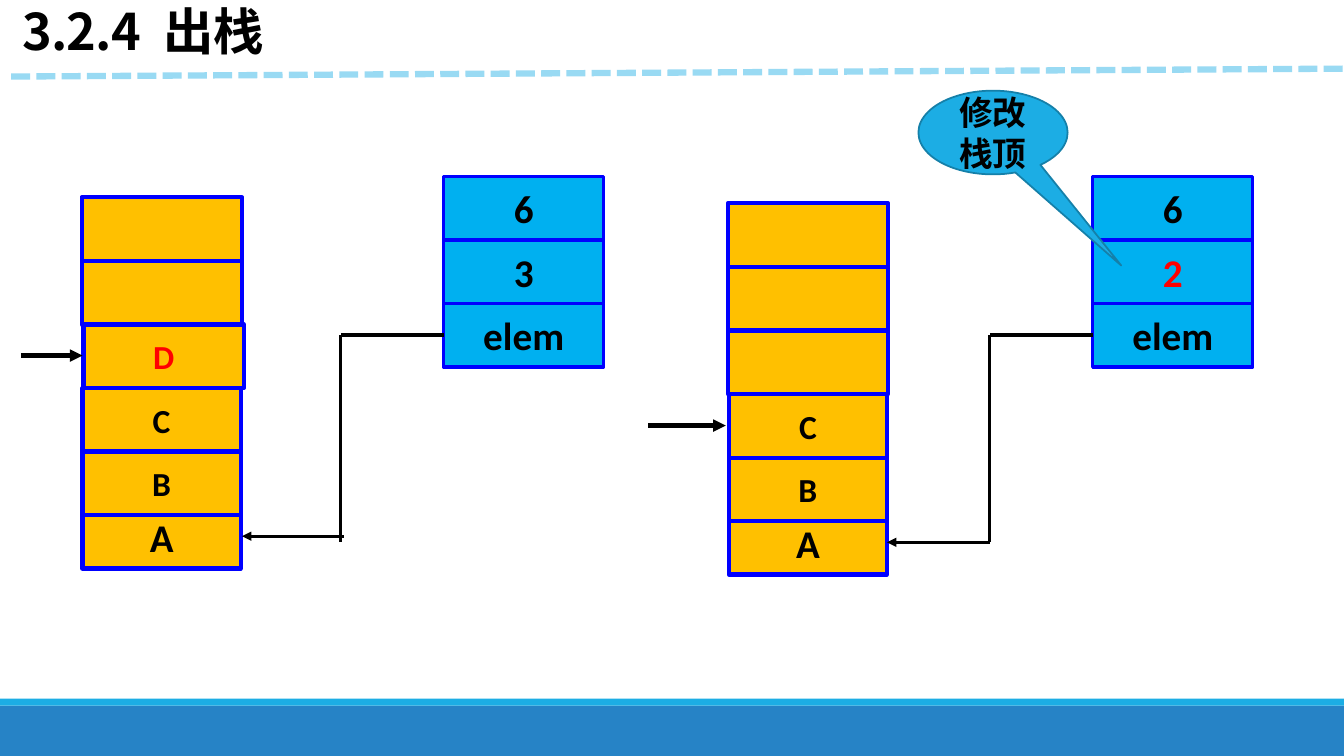
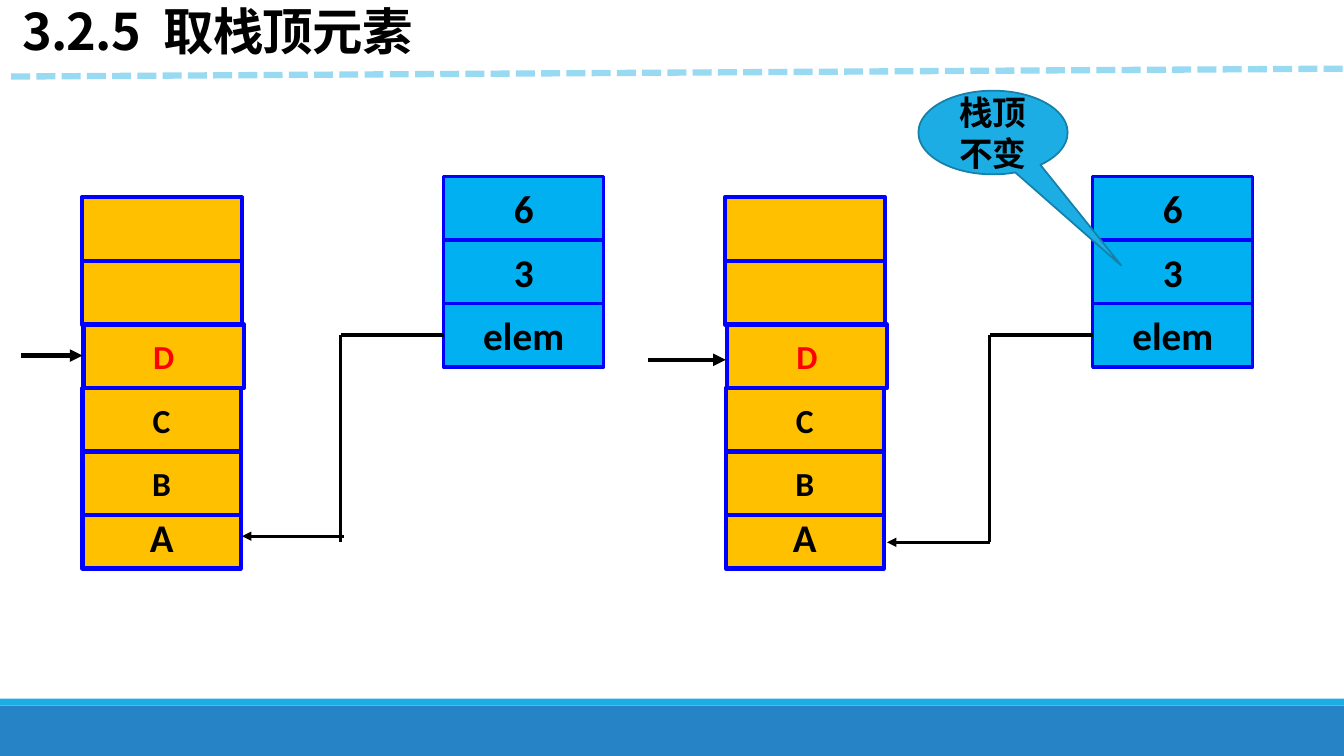
from lxml import etree
from pptx import Presentation
from pptx.dml.color import RGBColor
from pptx.enum import dml, shapes, text
from pptx.oxml import ns
from pptx.util import Pt

BLACK = RGBColor(0x00, 0x00, 0x00)
RED = RGBColor(0xFF, 0x00, 0x00)
EDGE = RGBColor(0x00, 0x00, 0xFF)
GOLD = RGBColor(0xFF, 0xC0, 0x00)
SKY = RGBColor(0x00, 0xB0, 0xF0)
CYAN = RGBColor(0x1C, 0xAD, 0xE4)
TEAL = RGBColor(0x15, 0x80, 0xA9)
BLUE = RGBColor(0x26, 0x83, 0xC6)
PALE = RGBColor(0x99, 0xDA, 0xF3)

LATIN = "Calibri"
HAN = "Noto Sans CJK SC"
WIDTH, HEIGHT = 960, 540
CELL_W, CELL_H = 114.5, 45.4
BASE_W, BASE_STEP = 113, 38.1
REC_TOP = 126
ELBOW = 73.4
FOOT = 387.4
RECT = shapes.MSO_SHAPE.RECTANGLE
BUBBLE = shapes.MSO_SHAPE.OVAL_CALLOUT


def apply(item, style):
    for name, value in style.items():
        setattr(item, name, value)


def add_run(para, words, size, color=BLACK, face=LATIN, space=None):
    run = para.add_run()
    run.text = words
    apply(run.font, {"name": face, "size": Pt(size), "bold": True})
    run.font.color.rgb = color
    props = run.font._element
    etree.SubElement(props, ns.qn("a:ea")).set("typeface", HAN)
    if space is not None:
        props.set("spc", str(space))


def add_box(host, kind, x, y, w, h, fill, edge=None, weight=0):
    box = host.add_shape(kind, Pt(x), Pt(y), Pt(w), Pt(h))
    box.shadow.inherit = False
    box.fill.solid()
    box.fill.fore_color.rgb = fill
    if edge is None:
        box.line.fill.background()
    else:
        box.line.color.rgb = edge
        box.line.width = Pt(weight)
    return box


def add_words(box, lines, size, color=BLACK):
    frame = box.text_frame
    apply(frame, {"word_wrap": True, "vertical_anchor": text.MSO_ANCHOR.MIDDLE})
    for i, words in enumerate(lines):
        para = frame.add_paragraph() if i else frame.paragraphs[0]
        para.alignment = text.PP_ALIGN.CENTER
        add_run(para, words, size, color)


def add_line(host, start, end, weight, color=BLACK, arrow=False, dash=None):
    ends = [Pt(v) for v in (*start, *end)]
    line = host.add_connector(shapes.MSO_CONNECTOR.STRAIGHT, *ends)
    line.line.color.rgb = color
    apply(line.line, {"width": Pt(weight), "dash_style": dash})
    props = line._element.spPr
    etree.SubElement(props, ns.qn("a:effectLst"))
    if arrow:
        tail = etree.SubElement(props.find(ns.qn("a:ln")), ns.qn("a:tailEnd"))
        tail.set("type", "triangle")


def add_frame(host, number, name):
    add_box(host, RECT, 0, 504, WIDTH, 36, BLUE)
    add_box(host, RECT, 0, 499, WIDTH, 5, CYAN)
    add_line(host, (8, 54.7), (968.4, 49), 4.5, PALE,
             dash=dml.MSO_LINE.SQUARE_DOT)
    frame = host.add_textbox(0, 0, Pt(WIDTH), Pt(48.2)).text_frame
    apply(frame, {"word_wrap": True, "margin_left": Pt(15.8),
                  "margin_bottom": Pt(4.8),
                  "vertical_anchor": text.MSO_ANCHOR.BOTTOM})
    para = frame.paragraphs[0]
    para.line_spacing = 0.85
    for words, space in ((number, -50), (" ", 770), (name, -50)):
        add_run(para, words, 36, face=HAN, space=space)


def add_stack(host, x, base, items):
    group = host.add_group_shape().shapes
    for i in range(6):
        item = items[i] if i < len(items) else ""
        y = base - (BASE_STEP + (i - 1) * CELL_H if i else 0)
        shift = 0 if i < 3 else 0.7 if item else -0.7
        width = BASE_W if i < 3 else CELL_W
        cell = add_box(group, RECT, x + shift, y, width, CELL_H, GOLD, EDGE, 3)
        if item:
            add_words(cell, [item], 24 if i else 28, RED if item == "D" else BLACK)


def add_record(host, x, top, color=BLACK):
    group = host.add_group_shape().shapes
    rows = (("6", BLACK), (top, color), ("elem", BLACK))
    for i, (words, shade) in enumerate(rows):
        cell = add_box(group, RECT, x, REC_TOP + i * CELL_H, CELL_W, CELL_H,
                       SKY, EDGE, 2.25)
        add_words(cell, [words], 28, shade)
    y = REC_TOP + 2.5 * CELL_H
    add_line(host, (x, y), (x - ELBOW, y), 3)
    add_line(host, (x - ELBOW, y), (x - ELBOW, FOOT), 2.25)


def add_bubble(host, lines):
    box = add_box(host, BUBBLE, 656, 64.8, 106.6, 59.8, CYAN, TEAL, 1.25)
    box.adjustments[0] = 0.359 + 0.5
    box.adjustments[1] = 1.588
    add_words(box, lines, 24)


def add_page(deck, page):
    host = deck.slides.add_slide(deck.slide_layouts[6]).shapes
    add_frame(host, page["number"], page["name"])
    add_stack(host, 59, 360.7, "ABCD")
    add_stack(host, *page["stack"])
    add_record(host, 316.8, "3")
    add_record(host, 780.5, *page["top"])
    add_line(host, (245.5, 383), (172.8, 383), 2.25, arrow=True)
    add_line(host, (707, FOOT), (633.6, FOOT), 2.25, arrow=True)
    add_bubble(host, page["note"])
    add_line(host, (15, 254), (59, 254), 3, arrow=True)
    y = page["mark"]
    add_line(host, (463, y), (518.4, y), 3, arrow=True)


PAGES = (
    {"number": "3.2.4", "name": "出栈", "stack": (520.6, 365, "ABC"),
     "top": ("2", RED), "note": ("修改", "栈顶"), "mark": 304},
    {"number": "3.2.5", "name": "取栈顶元素", "stack": (518.4, 360.7, "ABCD"),
     "top": ("3", BLACK), "note": ("栈顶不变",), "mark": 257},
)


def main():
    deck = Presentation()
    apply(deck, {"slide_width": Pt(WIDTH), "slide_height": Pt(HEIGHT)})
    for page in PAGES:
        add_page(deck, page)
    deck.save("out.pptx")


if __name__ == "__main__":
    main()
